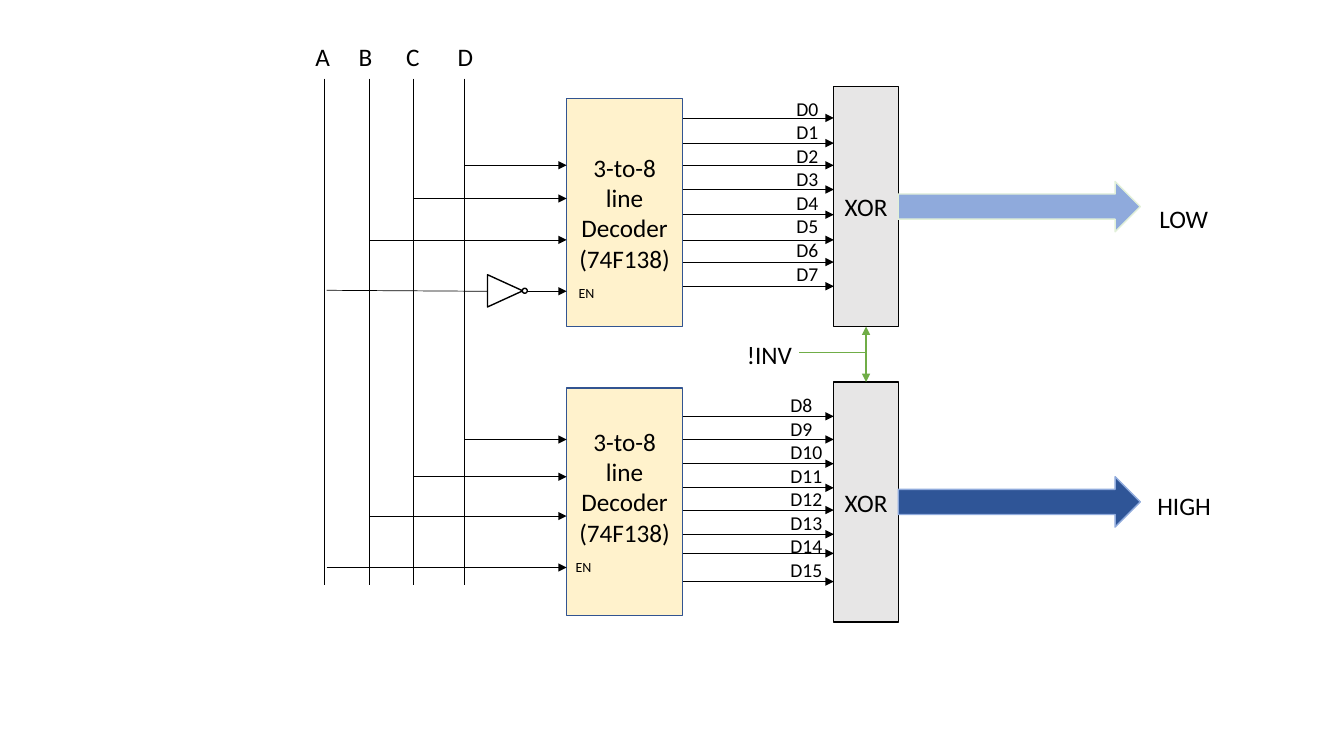
"""Build a slide with a 4-to-16 decoder circuit made of two 3-to-8 decoders and XOR stages."""
import pptx
import pptx.dml.color
import pptx.enum.shapes
import pptx.enum.text
import pptx.oxml
import pptx.oxml.ns
import pptx.util

Inches = pptx.util.Inches
Pt = pptx.util.Pt
RGBColor = pptx.dml.color.RGBColor
SHAPE = pptx.enum.shapes.MSO_SHAPE
ALIGN = pptx.enum.text.PP_ALIGN
ANCHOR = pptx.enum.text.MSO_ANCHOR

BLACK = RGBColor(0x00, 0x00, 0x00)
WHITE = RGBColor(0xFF, 0xFF, 0xFF)
CREAM = RGBColor(0xFF, 0xF2, 0xCC)
NAVY = RGBColor(0x32, 0x54, 0x91)
GRAY = RGBColor(0xE7, 0xE6, 0xE6)
GREEN = RGBColor(0x70, 0xAD, 0x47)
PALE_GREEN = RGBColor(0xE2, 0xF0, 0xD9)
LIGHT_BLUE = RGBColor(0x8F, 0xAA, 0xDC)
DARK_BLUE = RGBColor(0x2F, 0x55, 0x97)

presentation = pptx.Presentation()
presentation.slide_width = Inches(13.33)
presentation.slide_height = Inches(7.5)
slide = presentation.slides.add_slide(presentation.slide_layouts[6])


def add_box(kind, left, top, width, height, lines=(), size=18, fill=None, line=None):
    """Add a preset shape, or a text box when kind is None."""
    frame = Inches(left), Inches(top), Inches(width), Inches(height)
    if kind is None:
        shape = slide.shapes.add_textbox(*frame)
        shape.text_frame.word_wrap = False
    else:
        shape = slide.shapes.add_shape(kind, *frame)
        shape.shadow.inherit = False
        shape.fill.solid()
        shape.fill.fore_color.rgb = fill
        shape.line.color.rgb = line
        shape.line.width = Pt(1)
        shape.text_frame.word_wrap = True
        shape.text_frame.vertical_anchor = ANCHOR.MIDDLE
    for index, text in enumerate(lines):
        paragraphs = shape.text_frame.paragraphs
        paragraph = paragraphs[0] if index == 0 else shape.text_frame.add_paragraph()
        paragraph.alignment = ALIGN.LEFT if kind is None else ALIGN.CENTER
        run = paragraph.add_run()
        run.text = text
        run.font.name = "Calibri"
        run.font.size = Pt(size)
        run.font.color.rgb = BLACK
    return shape


def add_line(x1, y1, x2, y2, arrow=True, color=BLACK, weight=0.5):
    """Add a straight line, with an arrowhead at its end if asked."""
    connector = slide.shapes.add_connector(
        pptx.enum.shapes.MSO_CONNECTOR.STRAIGHT, Inches(x1), Inches(y1), Inches(x2), Inches(y2))
    connector.line.color.rgb = color
    connector.line.width = Pt(weight)
    if arrow:
        outline = connector.line._get_or_add_ln()
        head = pptx.oxml.parse_xml(f'<a:tailEnd {pptx.oxml.ns.nsdecls("a")} type="triangle"/>')
        outline.append(head)
    effects = pptx.oxml.parse_xml(f'<a:effectLst {pptx.oxml.ns.nsdecls("a")}/>')
    connector._element.spPr.append(effects)


DECODER_LEFT, DECODER_RIGHT = 5.62, 6.77
XOR_LEFT, XOR_CENTER, XOR_RIGHT = 8.27, 8.59, 8.91
WIRES = {"A": 3.22, "B": 3.66, "C": 4.1, "D": 4.61}
LABEL_LEFTS = {"A": 3.03, "B": 3.46, "C": 3.93, "D": 4.44}

for name, x in WIRES.items():
    add_line(x, 0.78, x, 5.8, arrow=False)
    add_box(None, LABEL_LEFTS[name], 0.36, 0.4, 0.4, [name])

STAGES = [
    dict(decoder_top=0.98, bottom_inset=0.05, inputs={"D": 1.64, "C": 1.97, "B": 2.38},
         outputs=[1.17, 1.42, 1.64, 1.88, 2.13, 2.38, 2.6, 2.84],
         first=0, names_at=(7.8, 0.91), enable_at=(5.64, 2.77), xor_top=0.86,
         arrow_top=1.8, fill=LIGHT_BLUE, line=PALE_GREEN, result="LOW", result_at=(11.4, 1.97)),
    dict(decoder_top=3.85, bottom_inset=0.35, inputs={"D": 4.36, "C": 4.73, "B": 5.12},
         outputs=[4.13, 4.36, 4.6, 4.84, 5.06, 5.3, 5.49, 5.77],
         first=8, names_at=(7.74, 3.85), enable_at=(5.61, 5.49), xor_top=3.79,
         arrow_top=4.73, fill=DARK_BLUE, line=LIGHT_BLUE, result="HIGH", result_at=(11.38, 4.82)),
]

for stage in STAGES:
    decoder = add_box(SHAPE.RECTANGLE, DECODER_LEFT, stage["decoder_top"], 1.15, 2.26,
                      ["3-to-8", "line", "Decoder", "(74F138)"], fill=CREAM, line=NAVY)
    decoder.text_frame.margin_bottom = Inches(stage["bottom_inset"])
    for name, y in stage["inputs"].items():
        add_line(WIRES[name], y, DECODER_LEFT, y)
    for y in stage["outputs"]:
        add_line(DECODER_RIGHT, y, XOR_LEFT, y)
    output_names = [f"D{stage['first'] + bit}" for bit in range(8)]
    add_box(None, *stage["names_at"], 0.7, 1.99, output_names, size=14)
    add_box(None, *stage["enable_at"], 0.5, 0.27, ["EN"], size=10)
    add_box(SHAPE.RECTANGLE, XOR_LEFT, stage["xor_top"], 0.64, 2.38, ["XOR"],
            fill=GRAY, line=BLACK)
    add_box(SHAPE.RIGHT_ARROW, XOR_RIGHT, stage["arrow_top"], 2.4, 0.5,
            fill=stage["fill"], line=stage["line"])
    add_box(None, *stage["result_at"], 0.9, 0.4, [stage["result"]])

inverter = add_box(SHAPE.ISOSCELES_TRIANGLE, 4.85, 2.71, 0.32, 0.35, fill=WHITE, line=BLACK)
inverter.rotation = 90
add_box(SHAPE.OVAL, 5.18, 2.86, 0.05, 0.05, fill=WHITE, line=BLACK)
add_line(4.83, 2.89, 3.24, 2.88, arrow=False)
add_line(5.23, 2.89, DECODER_LEFT, 2.89)
add_line(3.24, 5.63, DECODER_LEFT, 5.63)

add_line(XOR_CENTER, 3.5, 7.92, 3.5, arrow=False, color=GREEN, weight=1)
for xor_edge in (3.24, 3.79):
    add_line(XOR_CENTER, 3.5, XOR_CENTER, xor_edge, color=GREEN, weight=1)
add_box(None, 7.31, 3.32, 0.75, 0.4, ["!INV"])

presentation.save("out.pptx")
